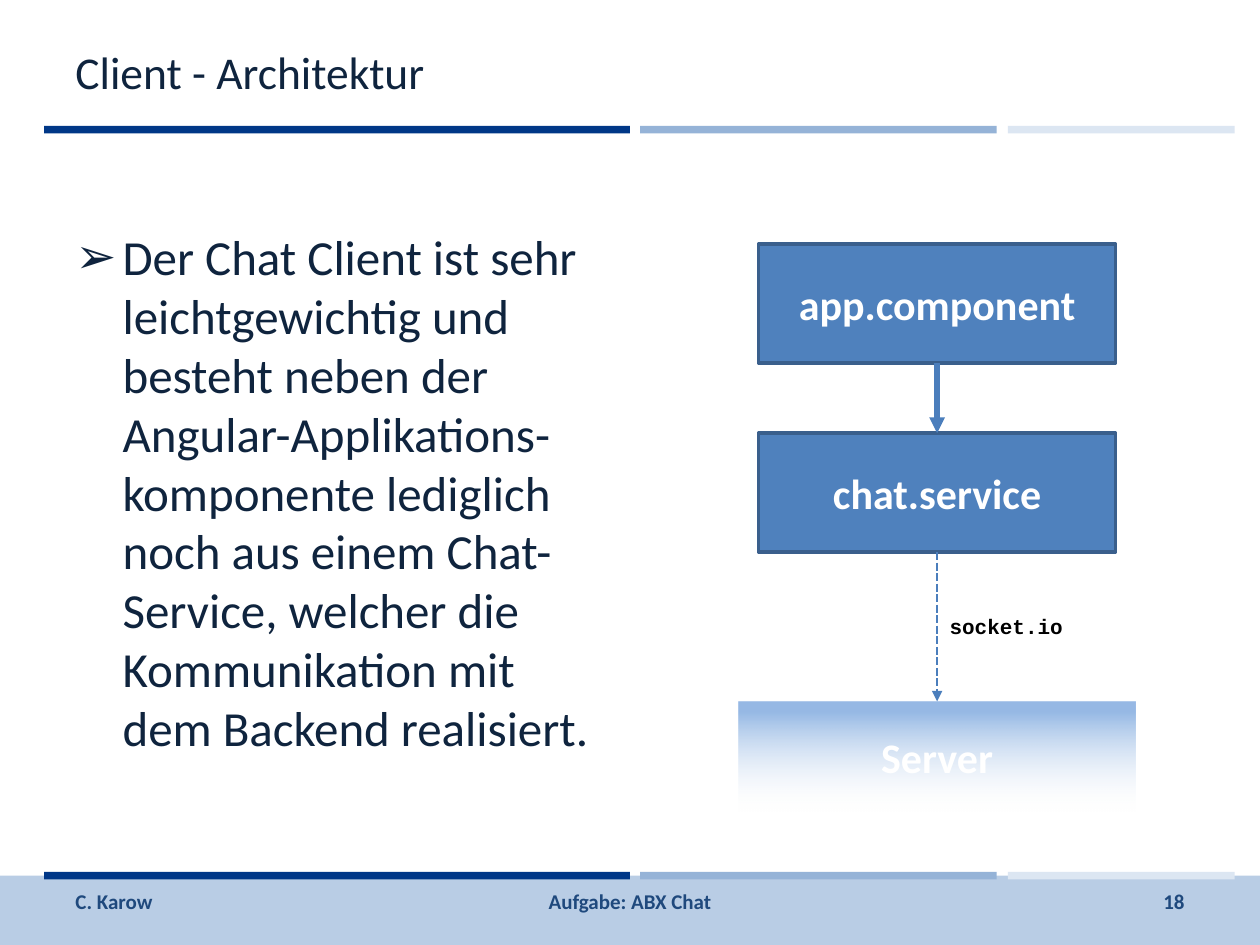
"""Build the client architecture slide."""
from lxml import etree
from pptx import Presentation
from pptx import util as u
from pptx.dml import color
from pptx.enum import dml, shapes, text
from pptx.oxml import ns

Pt = u.Pt
LEFT, CENTER, RIGHT = text.PP_ALIGN.LEFT, text.PP_ALIGN.CENTER, text.PP_ALIGN.RIGHT
TOP, MIDDLE = text.MSO_ANCHOR.TOP, text.MSO_ANCHOR.MIDDLE
AXIS = 535.5


def rgb(value):
    """Turn a hex string into a colour."""
    return color.RGBColor.from_string(value)


def sub(parent, tag, **attrs):
    """Append a DrawingML child element."""
    return etree.SubElement(parent, ns.qn("a:" + tag), attrs)


def write(sp, words, size, ink, bold=False, align=LEFT, anchor=TOP, font="Calibri", wrap=True):
    """Put one run of text into a shape."""
    tf = sp.text_frame
    tf.word_wrap = wrap
    tf.vertical_anchor = anchor
    p = tf.paragraphs[0]
    p.alignment = align
    r = p.add_run()
    r.text = words
    r.font.name, r.font.size, r.font.bold = font, Pt(size), bold
    r.font.color.rgb = rgb(ink)
    return p


def add_label(s, box, words, size, ink, **style):
    """Add a text box."""
    sp = s.shapes.add_textbox(*map(Pt, box))
    return write(sp, words, size, ink, **style)


def add_box(s, box, fill=None, line=None):
    """Add a rectangle without shadow."""
    sp = s.shapes.add_shape(shapes.MSO_SHAPE.RECTANGLE, *map(Pt, box))
    sp.shadow.inherit = False
    if fill:
        sp.fill.solid()
        sp.fill.fore_color.rgb = rgb(fill)
    if line:
        sp.line.color.rgb = rgb(line)
        sp.line.width = Pt(2)
    else:
        sp.line.fill.background()
    return sp


def add_bars(s, top):
    """Add the three-part coloured rule."""
    for left, width, fill in ((25.2, 334.8, "003787"), (365.8, 203.8, "95B3D7"), (576, 129.6, "DCE6F2")):
        add_box(s, (left, top, width, 4.3), fill)


def add_bullet(p, char, indent):
    """Give a paragraph a hanging bullet."""
    pPr = p._p.get_or_add_pPr()
    pPr.set("marL", str(Pt(indent)))
    pPr.set("indent", str(-Pt(indent)))
    spacing = sub(sub(pPr, "spcBef"), "spcPct", val="20000")
    sub(pPr, "buFont", typeface="Arial")
    sub(pPr, "buChar", char=char)
    return spacing


def add_arrow(s, top, bottom, width, dash=None):
    """Add a downward arrow on the diagram axis."""
    c = s.shapes.add_connector(shapes.MSO_CONNECTOR.STRAIGHT, Pt(AXIS), Pt(top), Pt(AXIS), Pt(bottom))
    c.line.color.rgb = rgb("4B7EBC")
    c.line.width = Pt(width)
    if dash:
        c.line.dash_style = dash
    sub(c.line._get_or_add_ln(), "tailEnd", type="triangle")
    sub(c._element.spPr, "effectLst")


def fade(sp, stops, angle):
    """Fill a shape with a gradient of (position, colour, opacity) stops."""
    sp.fill.gradient()
    sp.fill.gradient_angle = angle
    for stop, (position, ink, _) in zip(sp.fill.gradient_stops, stops):
        stop.position = position
        stop.color.rgb = rgb(ink)
    for clr, (_, _, opacity) in zip(sp._element.spPr.iter(ns.qn("a:srgbClr")), stops):
        sub(clr, "alpha", val=str(opacity * 1000))


def add_frame(s):
    """Add the rules, footer band and footer texts."""
    add_box(s, (0, 500.4, 720, 39.6), "B9CDE5")
    for top in (72, 498.2):
        add_bars(s, top)
    for left, width, words, align in ((36, 168, "C. Karow", LEFT), (246, 228, "Aufgabe: ABX Chat", CENTER),
                                      (516, 168, "18", RIGHT)):
        add_label(s, (left, 500.4, width, 28.8), words, 12, "1F497D", bold=True, align=align, anchor=MIDDLE)


def add_diagram(s):
    """Add the client parts, the server and their links."""
    heading = dict(bold=True, align=CENTER, anchor=MIDDLE)
    for top, words in ((139.5, "app.component"), (247.5, "chat.service")):
        sp = add_box(s, (AXIS - 102, top, 204, 68), "4F81BD", "3A5F8C")
        write(sp, words, 24, "FFFFFF", **heading)
    add_arrow(s, 207.5, 247.5, 3)
    server = add_box(s, (AXIS - 113.5, 400.8, 227, 63))
    fade(server, ((0, "F6F9FC", 0), (0.9, "558ED5", 61)), 90)
    write(server, "Server", 24, "FFFFFF", **heading)
    add_arrow(s, 315.5, 400.8, 1.5, dml.MSO_LINE.SQUARE_DOT)
    add_label(s, (AXIS, 347.3, 80.6, 21.8), "socket.io", 12, "000000", bold=True, font="Courier New", wrap=False)


def main():
    """Build and save the slide."""
    prs = Presentation()
    prs.slide_width, prs.slide_height = Pt(720), Pt(540)
    s = prs.slides.add_slide(prs.slide_layouts[6])
    add_frame(s)
    add_label(s, (36, 21.6, 477, 44), "Client - Architektur", 26, "0F243E")
    p = add_label(s, (36, 126, 318, 356.4),
                  "Der Chat Client ist sehr leichtgewichtig und besteht neben der "
                  "Angular-Applikations-komponente lediglich noch aus einem Chat-Service, "
                  "welcher die Kommunikation mit dem Backend realisiert.", 28, "0F243E")
    add_bullet(p, "\u27a2", 27)
    add_diagram(s)
    prs.save("out.pptx")


main()
